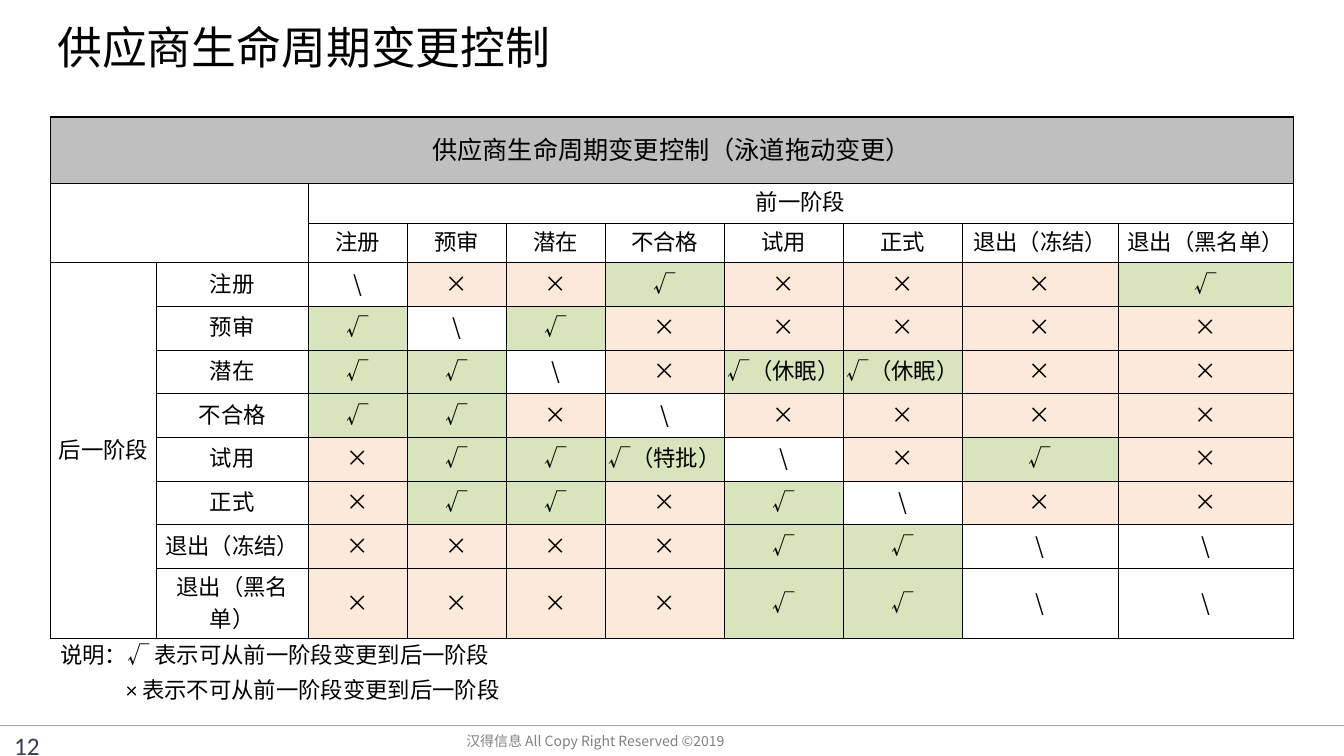
from lxml import etree
from pptx import Presentation
from pptx.dml.color import RGBColor
from pptx.enum import shapes, text
from pptx.oxml import ns
from pptx.util import Pt

CJK = "Noto Sans CJK SC"
STAGES = ["注册", "预审", "潜在", "不合格", "试用", "正式", "退出（冻结）", "退出（黑名单）"]
CHANGES = [
    "\\ × × √ × × × √",
    "√ \\ √ × × × × ×",
    "√ √ \\ × √（休眠） √（休眠） × ×",
    "√ √ × \\ × × × ×",
    "× √ √ √（特批） \\ × √ ×",
    "× √ √ × √ \\ × ×",
    "× × × × √ √ \\ \\",
    "× × × × √ √ \\ \\",
]
MARK_FILLS = {"√": "D8E4BC", "×": "FDE9D9"}
COLUMN_WIDTHS = [75.7, 108.5] + [70.7] * 3 + [85] * 3 + [111.5, 125]
ROW_HEIGHTS = [47.5] + [28.3] * 2 + [31.2] * 8


def color(value):
    return RGBColor.from_string(value)


def style_text(frame, size, font, fill="000000", align=text.PP_ALIGN.LEFT):
    for para in frame.paragraphs:
        para.alignment = align
        for span in para.runs:
            span.font.size = Pt(size)
            span.font.name = font
            span.font.color.rgb = color(fill)
            east_asian = etree.SubElement(span.font._element, ns.qn("a:ea"))
            east_asian.set("typeface", CJK)


def add_text(page, box, content, size, font, fill="000000", align=text.PP_ALIGN.LEFT):
    shape = page.shapes.add_textbox(*map(Pt, box))
    frame = shape.text_frame
    frame.word_wrap = True
    frame.text = content
    style_text(frame, size, font, fill, align)
    return frame


def add_title(page, box):
    title = page.shapes.title
    title.left, title.top, title.width, title.height = map(Pt, box)
    frame = title.text_frame
    frame.text = "供应商生命周期变更控制"
    frame.vertical_anchor = text.MSO_ANCHOR.MIDDLE
    style_text(frame, 32, CJK)


def set_borders(cell, widths):
    properties = cell._tc.get_or_add_tcPr()
    for side, width in zip("LRTB", widths):
        line = etree.SubElement(properties, ns.qn(f"a:ln{side}"), w=str(Pt(width)))
        solid = etree.SubElement(line, ns.qn("a:solidFill"))
        etree.SubElement(solid, ns.qn("a:srgbClr"), val="000000")


def fill_cell(cell, content, size=16, font="Arial", fill=None):
    cell.text = content
    style_text(cell.text_frame, size, font, align=text.PP_ALIGN.CENTER)
    if fill:
        cell.fill.solid()
        cell.fill.fore_color.rgb = color(fill)


def add_change_table(page, left, top):
    row_count, column_count = len(ROW_HEIGHTS), len(COLUMN_WIDTHS)
    frame = page.shapes.add_table(
        row_count, column_count, Pt(left), Pt(top),
        Pt(sum(COLUMN_WIDTHS)), Pt(sum(ROW_HEIGHTS)))
    table = frame.table
    table.first_row = table.horz_banding = False
    for column, width in zip(table.columns, COLUMN_WIDTHS):
        column.width = Pt(width)
    for row, height in zip(table.rows, ROW_HEIGHTS):
        row.height = Pt(height)

    for row in range(row_count):
        for column in range(column_count):
            cell = table.cell(row, column)
            cell.margin_left = cell.margin_right = cell.margin_top = Pt(0.7)
            cell.margin_bottom = Pt(3.6)
            cell.vertical_anchor = text.MSO_ANCHOR.MIDDLE
            outer = (column == 0, column == column_count - 1, row == 0, row == row_count - 1)
            set_borders(cell, [1 if edge else 0.5 for edge in outer])
            cell.fill.background()

    for first, last in [((0, 0), (0, 9)), ((1, 0), (2, 1)), ((1, 2), (1, 9)), ((3, 0), (10, 0))]:
        table.cell(*first).merge(table.cell(*last))

    fill_cell(table.cell(0, 0), "供应商生命周期变更控制（泳道拖动变更）", 18, fill="BFBFBF")
    fill_cell(table.cell(1, 2), "前一阶段")
    fill_cell(table.cell(3, 0), "后一阶段")
    for index, (stage, changes) in enumerate(zip(STAGES, CHANGES)):
        fill_cell(table.cell(2, index + 2), stage)
        fill_cell(table.cell(index + 3, 1), stage)
        for column, mark in enumerate(changes.split(), 2):
            fill_cell(table.cell(index + 3, column), mark, font=CJK, fill=MARK_FILLS.get(mark[0]))


def add_legend(page, box):
    content = "说明：√ 表示可从前一阶段变更到后一阶段\n× 表示不可从前一阶段变更到后一阶段"
    frame = add_text(page, box, content, 16, "Calibri", align=text.PP_ALIGN.JUSTIFY)
    for para in frame.paragraphs:
        para.line_spacing = 1.3
    frame.paragraphs[1]._p.get_or_add_pPr().set("marL", str(Pt(47)))


def add_footer(page, left, top, width):
    rule = page.shapes.add_connector(
        shapes.MSO_CONNECTOR.STRAIGHT, Pt(left), Pt(top), Pt(left + width), Pt(top))
    rule.line.color.rgb = color("A6A6A6")
    rule.line.width = Pt(0.75)
    etree.SubElement(rule._element.spPr, ns.qn("a:effectLst"))
    add_text(page, (left + 251.3, top + 1.4, 347.8, 17.3),
             "汉得信息 All Copy Right Reserved ©2019", 10, CJK, "808080", text.PP_ALIGN.CENTER)
    add_text(page, (left + 3, top, 38, 21), "12", 18, "Calibri", "333F50")


def main():
    deck = Presentation()
    deck.slide_width, deck.slide_height = Pt(960), Pt(540)
    page = deck.slides.add_slide(deck.slide_layouts[5])
    add_title(page, (33.8, 12.2, 763.2, 41.8))
    add_change_table(page, 36, 83.5)
    add_legend(page, (36, 448.6, 745.2, 57.6))
    add_footer(page, 0, 518.4, 960)
    deck.save("out.pptx")


if __name__ == "__main__":
    main()
